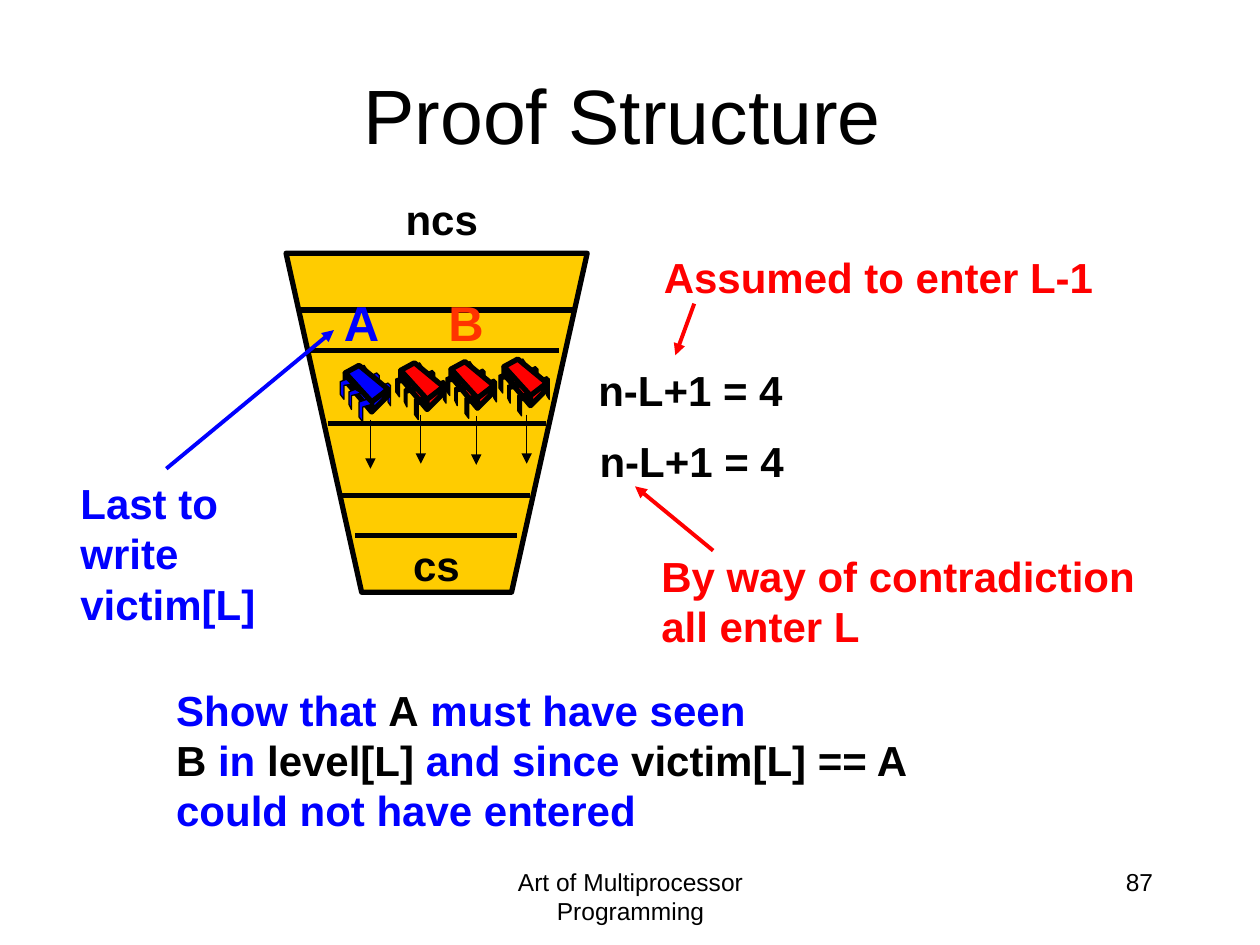
from lxml.etree import SubElement
from pptx import Presentation
from pptx.dml.color import RGBColor
from pptx.enum.shapes import MSO_CONNECTOR
from pptx.enum.text import MSO_ANCHOR, MSO_AUTO_SIZE, PP_ALIGN
from pptx.oxml.ns import qn
from pptx.util import Pt

PX = 9144
COLORS = {
    "black": "000000",
    "blue": "0000FF",
    "red": "FF0000",
    "orange": "FF3300",
    "gold": "FFCC00",
}
RGB = {name: RGBColor.from_string(value) for name, value in COLORS.items()}

prs = Presentation()
prs.slide_width = 1000 * PX
prs.slide_height = 750 * PX
slide = prs.slides.add_slide(prs.slide_layouts[5])


def add_outline(points, fill, weight, left=0, top=0):
    placed = [(left + x, top + y) for x, y in points]
    builder = slide.shapes.build_freeform(*placed[0], scale=PX)
    builder.add_line_segments(placed[1:], close=True)
    outline = builder.convert_to_shape()
    outline.shadow.inherit = False
    outline.fill.solid()
    outline.fill.fore_color.rgb = RGB[fill]
    outline.line.color.rgb = RGB["black"]
    outline.line.width = Pt(weight)


def add_line(x1, y1, x2, y2, color, weight, arrow):
    line = slide.shapes.add_connector(
        MSO_CONNECTOR.STRAIGHT, x1 * PX, y1 * PX, x2 * PX, y2 * PX)
    line.line.color.rgb = RGB[color]
    line.line.width = Pt(weight)
    if arrow:
        SubElement(line.line._get_or_add_ln(), qn("a:tailEnd"), type="triangle")
    SubElement(line._element.spPr, qn("a:effectLst"))


title = slide.shapes.title
title.left, title.top, title.width, title.height = 69 * PX, 28 * PX, 850 * PX, 125 * PX
title.text_frame.text = "Proof Structure"
title.text_frame.vertical_anchor = MSO_ANCHOR.MIDDLE
heading = title.text_frame.paragraphs[0]
heading.alignment = PP_ALIGN.CENTER
heading.runs[0].font.name = "Arial"
heading.runs[0].font.size = Pt(44)
heading.runs[0].font.color.rgb = RGB["black"]

add_outline([(227, 201), (287, 470), (406, 470), (466, 201)], "gold", 3)
for left, right, y in [(239, 455, 246), (244, 444, 278), (260, 433, 336),
                       (271, 421, 393), (282, 410, 425)]:
    add_line(left, y, right, y, "black", 3, False)

back_legs = [
    [(33, 16), (38, 14), (40, 16), (40, 32), (38, 29), (38, 19), (33, 22)],
    [(25, 8), (29, 6), (31, 8), (31, 24), (29, 22), (29, 11), (25, 14)],
    [(15, 3), (19, 0), (21, 3), (21, 16), (19, 14), (19, 5), (15, 7)],
]
body_faces = [
    [(15, 0), (38, 19), (25, 30), (4, 6)],
    [(4, 6), (25, 29), (25, 37), (4, 12)],
    [(38, 19), (38, 24), (25, 37), (25, 29)],
]
front_legs = [
    [(21, 27), (25, 31), (18, 33), (18, 45), (15, 41), (15, 29)],
    [(12, 19), (17, 22), (9, 24), (9, 35), (7, 31), (7, 21)],
    [(5, 11), (9, 15), (3, 16), (3, 27), (0, 23), (0, 13)],
]
for left, top, body_color, leg_color in [
        (354, 287, "red", "black"), (314, 288, "red", "black"),
        (396, 285, "red", "black"), (270, 290, "blue", "blue")]:
    for parts, fill, weight in [(back_legs, leg_color, 0.75),
                                (body_faces, body_color, 3),
                                (front_legs, leg_color, 0.75)]:
        for points in parts:
            add_outline(points, fill, weight, left, top)

for x, y in [(294, 333), (334, 329), (378, 330), (418, 329)]:
    add_line(x, y, x, y + 39, "black", 0.75, True)
for x1, y1, x2, y2, color in [(551, 241, 536, 282, "red"),
                              (566, 437, 504, 386, "red"),
                              (132, 372, 265, 262, "blue")]:
    add_line(x1, y1, x2, y2, color, 2.25, True)

labels = [
    ("ncs", 312, 149, 78, 50, 24, "black"),
    ("cs", 318, 423, 58, 50, 24, "black"),
    ("Assumed to enter L-1", 517, 195, 364, 50, 24, "red"),
    ("By way of contradiction\nall enter L", 515, 432, 400, 91, 24, "red"),
    ("n-L+1 = 4", 465, 284, 168, 50, 24, "black"),
    ("n-L+1 = 4", 466, 341, 168, 50, 24, "black"),
    ("A", 263, 227, 49, 57, 28, "blue"),
    ("B", 346, 227, 49, 57, 28, "orange"),
    ("Last to\nwrite\nvictim[L]", 54, 374, 160, 131, 24, "blue"),
]
for text, left, top, width, height, size, color in labels:
    label = slide.shapes.add_textbox(left * PX, top * PX, width * PX, height * PX)
    label.text_frame.word_wrap = False
    label.text_frame.auto_size = MSO_AUTO_SIZE.SHAPE_TO_FIT_TEXT
    label.text_frame.text = text
    for paragraph in label.text_frame.paragraphs:
        font = paragraph.runs[0].font
        font.name, font.size, font.bold = "Arial", Pt(size), True
        font.color.rgb = RGB[color]

claim_lines = [
    [("Show that ", "blue"), ("A", "black"), (" must have seen", "blue")],
    [("B", "black"), (" in ", "blue"), ("level[L]", "black"),
     (" and since ", "blue"), ("victim[L] == A", "black")],
    [("could not have entered", "blue")],
]
claim = slide.shapes.add_textbox(130 * PX, 538 * PX, 626 * PX, 131 * PX).text_frame
claim.word_wrap = False
claim.auto_size = MSO_AUTO_SIZE.SHAPE_TO_FIT_TEXT
claim.text = "\n" * (len(claim_lines) - 1)
for paragraph, pieces in zip(claim.paragraphs, claim_lines):
    for text, color in pieces:
        run = paragraph.add_run()
        run.text = text
        run.font.name, run.font.size, run.font.bold = "Arial", Pt(24), True
        run.font.color.rgb = RGB[color]

for text, left, width, alignment in [
        ("Art of Multiprocessor Programming", 342, 317, PP_ALIGN.CENTER),
        ("87", 717, 208, PP_ALIGN.RIGHT)]:
    footer = slide.shapes.add_textbox(left * PX, 683 * PX, width * PX, 50 * PX).text_frame
    footer.word_wrap = True
    footer.text = text
    footer.paragraphs[0].alignment = alignment
    font = footer.paragraphs[0].runs[0].font
    font.name, font.size = "Arial", Pt(14)
    font.color.rgb = RGB["black"]

prs.save("out.pptx")
